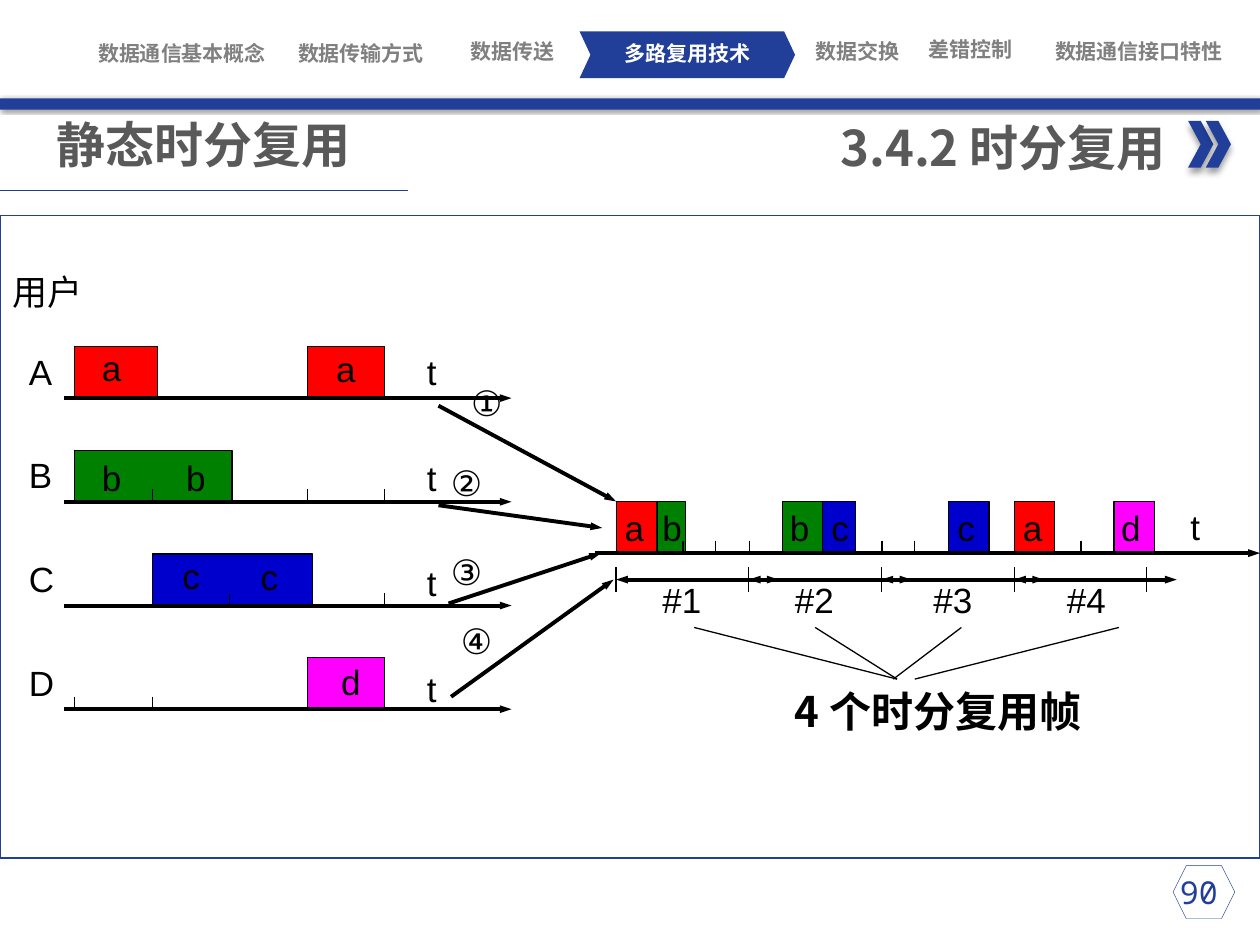
from lxml import etree
from pptx import Presentation
from pptx.dml.color import RGBColor
from pptx.enum.shapes import MSO_CONNECTOR, MSO_SHAPE
from pptx.enum.text import MSO_ANCHOR, MSO_AUTO_SIZE, PP_ALIGN
from pptx.oxml.ns import qn
from pptx.util import Inches, Pt

NAVY = RGBColor(0x21, 0x3F, 0x99)
WHITE = RGBColor(0xFF, 0xFF, 0xFF)
GRAY = RGBColor(0x80, 0x80, 0x80)
DARK = RGBColor(0x59, 0x59, 0x59)
BLACK = RGBColor(0, 0, 0)
RED = RGBColor(0xFF, 0, 0)
GREEN = RGBColor(0, 0x80, 0)
BLUE = RGBColor(0, 0, 0xCC)
PINK = RGBColor(0xFF, 0, 0xFF)

BODY = {"name": "Arial", "size": Pt(20), "bold": False}
NAV = {"name": "Roboto Condensed", "size": Pt(12), "bold": True}
TITLE = {"name": "Noto Sans CJK SC", "size": Pt(28), "bold": True}
NOTE = {**TITLE, "size": Pt(24)}
PAGE = {"name": "Noto Sans Mono", "size": Pt(18), "bold": False}

USERS = [3.16 + 0.823 * i for i in range(4)]
FRAMES = [4.89 + 1.053 * i for i in range(5)]
TALL = 0.41
BASE = 4.39


def add_text(slide, words, left, top, wide, high=0.43, style=BODY, color=BLACK,
             align=PP_ALIGN.LEFT, wrap=True):
    """Add a one-line text box and return its frame."""
    box = slide.shapes.add_textbox(*map(Inches, (left, top, wide, high)))
    frame = box.text_frame
    frame.word_wrap = wrap
    frame.auto_size = MSO_AUTO_SIZE.SHAPE_TO_FIT_TEXT
    line = frame.paragraphs[0]
    line.alignment = align
    run = line.add_run()
    run.text = words
    for key, value in style.items():
        setattr(run.font, key, value)
    run.font.color.rgb = color
    east = etree.SubElement(run.font._element, qn("a:ea"))
    east.set("typeface", style["name"])
    return frame


def add_nav(slide, words, left, top, wide=1.45, color=GRAY):
    """Add a centred chapter label without insets."""
    frame = add_text(slide, words, left, top, wide, 0.2, NAV, color, PP_ALIGN.CENTER)
    for side in ("left", "top", "right", "bottom"):
        setattr(frame, f"margin_{side}", 0)
    frame.vertical_anchor = MSO_ANCHOR.MIDDLE


def add_shape(slide, kind, left, top, wide, high, fill=None, width=None):
    """Add a preset shape, either filled or outlined in navy."""
    shape = slide.shapes.add_shape(kind, *map(Inches, (left, top, wide, high)))
    shape.shadow.inherit = False
    if fill is None:
        shape.fill.background()
        shape.line.color.rgb = NAVY
        shape.line.width = Pt(width)
    else:
        shape.fill.solid()
        shape.fill.fore_color.rgb = fill
        shape.line.fill.background()
    return shape


def add_shade(shape, blur, dist, angle):
    """Give a shape a soft black outer shadow."""
    effect = shape._element.spPr.find(qn("a:effectLst"))
    shade = etree.SubElement(effect, qn("a:outerShdw"), blurRad=str(Pt(blur)),
                             dist=str(Pt(dist)), dir=str(angle * 60000), rotWithShape="0")
    color = etree.SubElement(shade, qn("a:srgbClr"), val="000000")
    etree.SubElement(color, qn("a:alpha"), val="40000")


def add_line(slide, start, end, width=0.75, color=BLACK, heads=()):
    """Add a straight line with arrowheads at the named ends."""
    line = slide.shapes.add_connector(MSO_CONNECTOR.STRAIGHT, *map(Inches, (*start, *end)))
    line.line.color.rgb = color
    line.line.width = Pt(width)
    for head in heads:
        etree.SubElement(line.line._ln, qn(f"a:{head}"), type="triangle", w="sm", len="med")
    etree.SubElement(line._element.spPr, qn("a:effectLst"))


def add_slot(slide, left, base, wide, fill):
    """Add a time slot whose outline is open along the axis."""
    right, top = left + wide, base - TALL
    points = [tuple(map(Inches, spot)) for spot in
              ((left, base), (left, top), (right, top), (right, base))]
    pen = slide.shapes.build_freeform(*points[0])
    pen.add_line_segments(points[1:], close=False)
    slot = pen.convert_to_shape()
    slot.shadow.inherit = False
    slot.fill.solid()
    slot.fill.fore_color.rgb = fill
    slot.line.color.rgb = BLACK
    slot.line.width = Pt(0.75)


def add_tick(slide, left, base, high=0.1):
    """Add a short upright mark ending at base."""
    add_line(slide, (left, base - high), (left, base))


def draw_head(slide):
    """Draw the chapter bar, titles, border and page number."""
    tab = add_shape(slide, MSO_SHAPE.CHEVRON, 4.6, 0.25, 1.71, 0.37, NAVY)
    tab.adjustments[0] = 0.234
    add_nav(slide, "多路复用技术", 4.73, 0.32, color=WHITE)
    for words, left, top, wide in (
            ("数据通信基本概念", 0.72, 0.32, 1.45), ("数据传输方式", 2.14, 0.32, 1.45),
            ("数据传送", 3.43, 0.31, 1.27), ("数据交换", 6.08, 0.31, 1.45),
            ("差错控制", 6.98, 0.29, 1.45), ("数据通信接口特性", 8.08, 0.31, 1.92)):
        add_nav(slide, words, left, top, wide)
    add_shade(add_shape(slide, MSO_SHAPE.RECTANGLE, 0, 0.78, 10, 0.09, NAVY), 2, 1, 45)
    for left in (9.43, 9.57):
        add_shade(add_shape(slide, MSO_SHAPE.CHEVRON, left, 0.96, 0.2, 0.37, NAVY), 4, 3, 90)
    add_text(slide, "3.4.2 时分复用", 6.39, 0.88, 2.96, 0.57, TITLE, DARK,
             PP_ALIGN.RIGHT, False)
    add_text(slide, "静态时分复用", 0.35, 0.86, 4.44, 0.57, TITLE, DARK)
    add_line(slide, (0, 1.51), (3.24, 1.51), 0.5, NAVY)
    add_shape(slide, MSO_SHAPE.RECTANGLE, 0, 1.71, 10, 5.1, width=0.75)
    add_shape(slide, MSO_SHAPE.HEXAGON, 9.31, 6.87, 0.49, 0.42, width=0.25)
    add_text(slide, "90", 9.08, 6.88, 0.87, 0.4, PAGE, NAVY, PP_ALIGN.CENTER)


def draw_users(slide):
    """Draw the four user time lines on the left."""
    add_text(slide, "用户", 0, 2.1, 0.93)
    for row, left, wide, fill in (
            (0, 0.59, 0.66, RED), (0, 2.44, 0.61, RED), (1, 0.59, 1.25, GREEN),
            (2, 1.21, 1.27, BLUE), (3, 2.44, 0.61, PINK)):
        add_slot(slide, left, USERS[row], wide, fill)
    for row, spots in ((1, (1.21, 2.44, 3.05)), (2, (1.82, 3.05)), (3, (0.59, 1.21, 2.44))):
        for left in spots:
            add_tick(slide, left, USERS[row])
    for i, (name, base) in enumerate(zip("ABCD", USERS)):
        add_text(slide, name, 0.13, base - 0.43, 0.49)
        add_text(slide, "t", 3.29, 2.73 + 0.84 * i, 0.36)
        add_line(slide, (0.51, base), (4.06, base), 2.25, heads=["tailEnd"])
    for name, left, top in (
            ("a", 0.71, 2.7), ("a", 2.57, 2.71), ("b", 0.71, 3.57), ("b", 1.38, 3.57),
            ("c", 1.35, 4.35), ("c", 1.97, 4.36), ("d", 2.61, 5.19)):
        add_text(slide, name, left, top, 0.44)


def draw_merge(slide):
    """Draw the numbered arrows leading to the shared line."""
    for name, left, top, start, end in (
            ("①", 3.64, 2.98, (3.48, 3.22), (4.89, 3.98)),
            ("②", 3.48, 3.61, (3.48, 4.01), (4.78, 4.19)),
            ("③", 3.48, 4.32, (3.56, 4.79), (4.77, 4.39)),
            ("④", 3.56, 4.87, (3.58, 5.53), (4.87, 4.6))):
        add_line(slide, start, end, 2.25, heads=["tailEnd"])
        add_text(slide, name, left, top, 0.59)


def draw_frames(slide):
    """Draw the shared line, its slots and the four frames."""
    for name, left, wide, fill, spot in (
            ("c", 6.47, 0.32, BLUE, 6.5), ("c", 7.53, 0.32, BLUE, 7.5),
            ("a", 8.05, 0.32, RED, 8.02), ("d", 8.84, 0.32, PINK, 8.8),
            ("b", 6.21, 0.32, GREEN, 6.17), ("b", 5.22, 0.22, GREEN, 5.16),
            ("a", 4.89, 0.32, RED, 4.86)):
        add_slot(slide, left, BASE, wide, fill)
        add_text(slide, name, spot, 3.97, 0.4)
    add_line(slide, (4.72, BASE), (10, BASE), 2.25, heads=["tailEnd"])
    add_text(slide, "t", 9.35, 3.96, 0.36)
    for left in (5.42, 5.68, 5.95, 7, 7.26, 8.58):
        add_tick(slide, left, BASE)
    for left in FRAMES:
        add_tick(slide, left, 4.7, 0.2)
    for left in FRAMES[:4]:
        add_line(slide, (left, 4.6), (left + 1.29, 4.6), 2.25, heads=["headEnd", "tailEnd"])
    for i, left in enumerate((5.16, 6.21, 7.31, 8.37), 1):
        add_text(slide, f"#{i}", left, 4.54, 0.63)
    for left, end in ((5.51, 7.12), (6.47, 7.12), (7.63, 7.09), (8.88, 7.26)):
        add_line(slide, (left, 4.98), (end, 5.39))
    add_text(slide, "4 个时分复用帧", 6.21, 5.39, 2.59, 0.5, NOTE)


def main():
    """Build and save the slide."""
    deck = Presentation()
    deck.slide_width, deck.slide_height = Inches(10), Inches(7.5)
    slide = deck.slides.add_slide(deck.slide_layouts[6])
    for draw in (draw_head, draw_users, draw_merge, draw_frames):
        draw(slide)
    deck.save("out.pptx")


if __name__ == "__main__":
    main()
